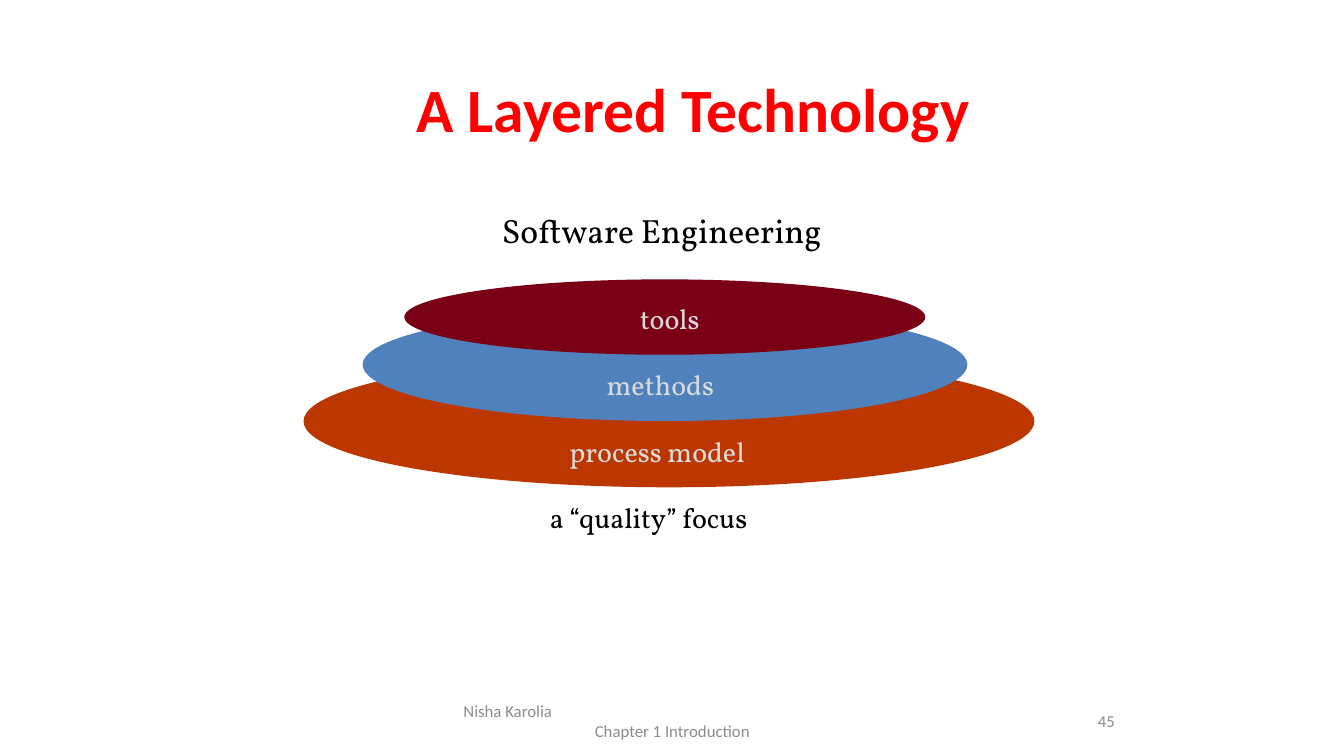
from pptx import Presentation
from pptx.dml.color import RGBColor
from pptx.enum.shapes import MSO_SHAPE
from pptx.enum.text import MSO_ANCHOR, MSO_AUTO_SIZE, PP_ALIGN
from pptx.util import Cm, Pt

LEFT, CENTER, RIGHT = PP_ALIGN.LEFT, PP_ALIGN.CENTER, PP_ALIGN.RIGHT
TOP, MIDDLE = MSO_ANCHOR.TOP, MSO_ANCHOR.MIDDLE

# Content: lengths in centimetres
TITLE = "A Layered Technology"
HEADING = "Software Engineering"
# Layers from top to bottom: ellipse left, width, height, fill
LAYERS = [
    (10.19, 13.13, 1.9, "790015"),
    (9.14, 15.24, 2.84, "4F81BD"),
    (7.65, 18.42, 3.33, "BC3700"),
]
# Labels from top to bottom: text, left, width, colour
LABELS = [
    ("tools", 15.88, 2.01, "DADADA"),
    ("methods", 15.04, 3.23, "DADADA"),
    ("process model", 14.1, 5, "DADADA"),
    ("a “quality” focus", 13.61, 5.82, "000000"),
]
FOOTER = [("Nisha Karolia", LEFT), ("Chapter 1 Introduction", CENTER)]
SLIDE_NUMBER = "45"

FIRST_ELLIPSE_BOTTOM = 8.94
FIRST_LABEL_TOP = 7.47
LAYER_STEP = 1.67
FOOTER_TOP, FOOTER_HEIGHT = 17.65, 1.02


def color(hex_string):
    return RGBColor.from_string(hex_string)


def place(shape, left, top, width, height):
    shape.left, shape.top = Cm(left), Cm(top)
    shape.width, shape.height = Cm(width), Cm(height)


def write(shape, lines, font="Vollkorn", size=20, fill="000000", bold=False,
          anchor=TOP, wrap=False, margins=(0.25, 0.13)):
    """Fill a shape with (text, alignment) lines."""
    frame = shape.text_frame
    frame.auto_size = MSO_AUTO_SIZE.NONE
    frame.word_wrap = wrap
    frame.vertical_anchor = anchor
    frame.margin_left = frame.margin_right = Cm(margins[0])
    frame.margin_top = frame.margin_bottom = Cm(margins[1])
    for index, (text, alignment) in enumerate(lines):
        paragraph = frame.add_paragraph() if index else frame.paragraphs[0]
        paragraph.alignment = alignment
        run = paragraph.add_run()
        run.text = text
        run.font.name = font
        run.font.size = Pt(size)
        run.font.bold = bold
        run.font.color.rgb = color(fill)


def add_text(slide, box, lines, **text_format):
    shape = slide.shapes.add_textbox(*map(Cm, box))
    write(shape, lines, **text_format)
    return shape


presentation = Presentation()
presentation.slide_width, presentation.slide_height = Cm(33.87), Cm(19.05)
slide = presentation.slides.add_slide(presentation.slide_layouts[5])

# Title and heading
title = slide.shapes.title
place(title, 10.26, 1.7, 14.43, 3.86)
write(title, [(TITLE, CENTER)], font="Calibri", size=44, fill="FF0000",
      bold=True, wrap=True, margins=(0.18, 0.08))
add_text(slide, (12.4, 5.16, 8.61, 1.27), [(HEADING, LEFT)], size=24)

# Stacked ellipses, the lowest at the back
for level, (left, width, height, fill) in reversed(list(enumerate(LAYERS))):
    top = FIRST_ELLIPSE_BOTTOM + level * LAYER_STEP - height
    ellipse = slide.shapes.add_shape(
        MSO_SHAPE.OVAL, Cm(left), Cm(top), Cm(width), Cm(height))
    ellipse.shadow.inherit = False
    ellipse.fill.solid()
    ellipse.fill.fore_color.rgb = color(fill)
    ellipse.line.fill.background()

# Layer labels
for level, (text, left, width, fill) in enumerate(LABELS):
    top = FIRST_LABEL_TOP + level * LAYER_STEP
    add_text(slide, (left, top, width, 1.1), [(text, LEFT)], fill=fill)

# Footer and slide number
footer = add_text(slide, (11.23, FOOTER_TOP, 11.43, FOOTER_HEIGHT), FOOTER,
                  font="Calibri", size=12, fill="8C8C8C", anchor=MIDDLE, wrap=True)
footer.text_frame.margin_left = footer.text_frame.margin_right = Cm(0.45)
add_text(slide, (22.43, FOOTER_TOP, 5.92, FOOTER_HEIGHT), [(SLIDE_NUMBER, RIGHT)],
         font="Calibri", size=12, fill="8B8B8B", anchor=MIDDLE, wrap=True)

presentation.save("out.pptx")
